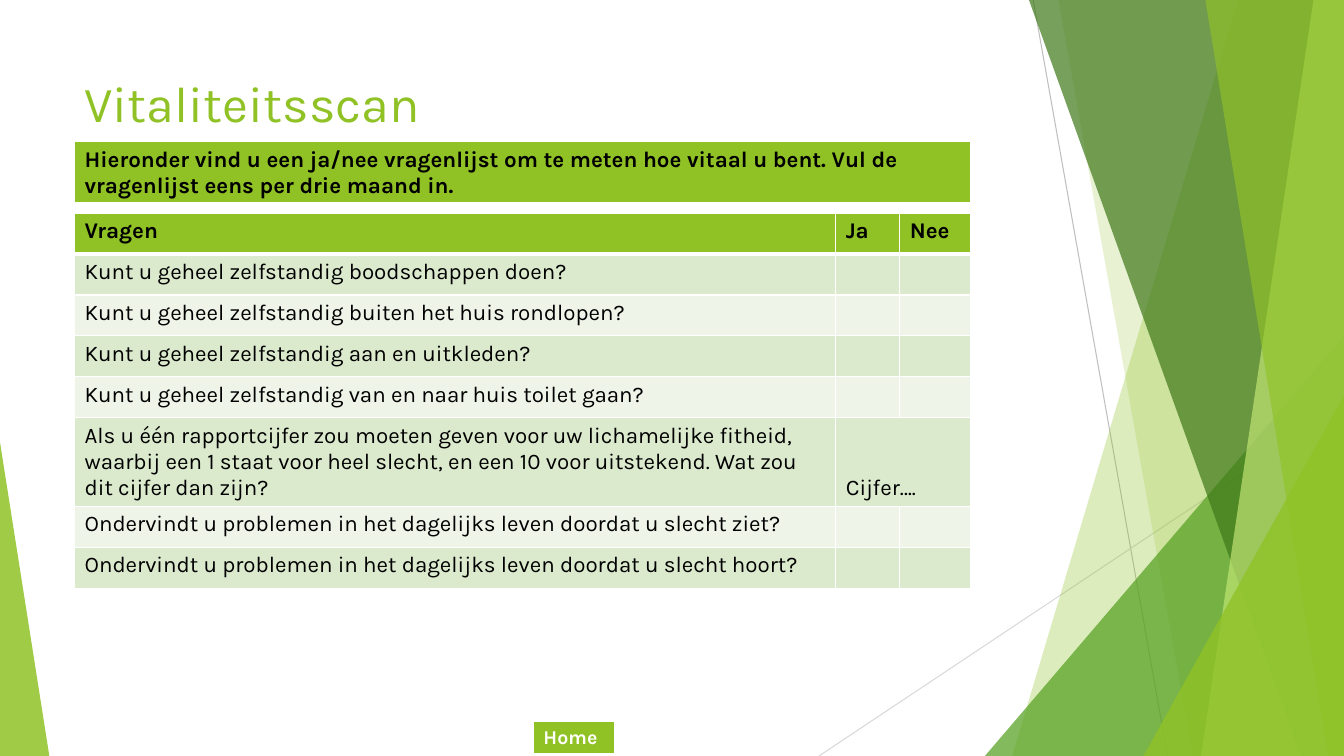
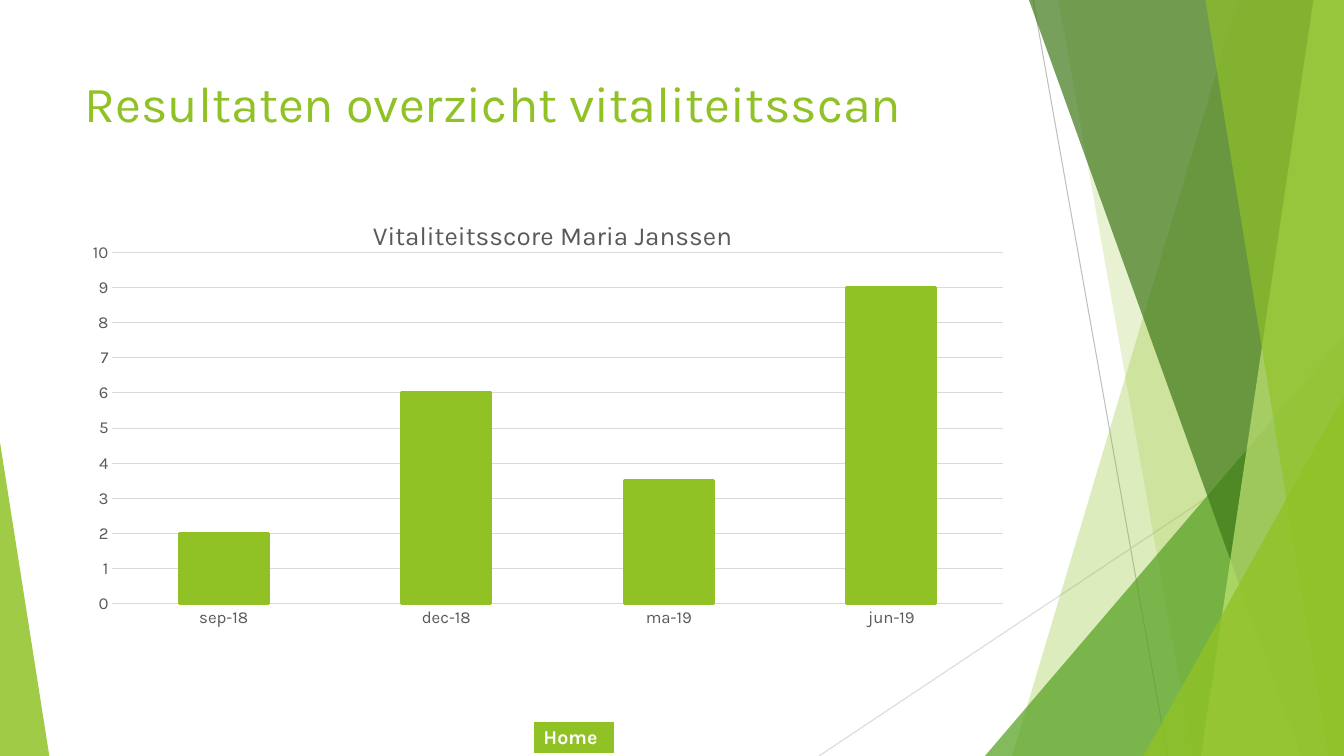
import pptx
import pptx.chart.data
import pptx.dml.color
import pptx.enum.chart
import pptx.enum.shapes
import pptx.enum.text
import pptx.oxml
import pptx.oxml.ns
import pptx.util
from lxml import etree

SCALE = 9525
WIDTH, HEIGHT = 1280, 720
FONT = "Karla"
GREEN, WHITE, BLACK = "90C226", "FFFFFF", "000000"
MID_GREEN, DARK_GREEN, LIME = "54A021", "3F7819", "C0E474"
GRAY, RULE, SILVER = "595959", "D9D9D9", "BFBFBF"
BANDS = ("DBE9CD", "EEF4E8")
LEFT, TABLE_WIDTH, CONTENT_WIDTH = 71, 853, 902

QUESTIONS = [
    "Kunt u geheel zelfstandig boodschappen doen?",
    "Kunt u geheel zelfstandig buiten het huis rondlopen?",
    "Kunt u geheel zelfstandig aan en uitkleden?",
    "Kunt u geheel zelfstandig van en naar huis toilet gaan?",
    "Als u één rapportcijfer zou moeten geven voor uw lichamelijke fitheid, "
    "waarbij een 1 staat voor heel slecht, en een 10 voor uitstekend. "
    "Wat zou dit cijfer dan zijn?",
    "Ondervindt u problemen in het dagelijks leven doordat u slecht ziet?",
    "Ondervindt u problemen in het dagelijks leven doordat u slecht hoort?",
]
GRADE_ROW = 5


def px(*lengths):
    return [pptx.util.Emu(length * SCALE) for length in lengths]


def rgb(color):
    return pptx.dml.color.RGBColor.from_string(color)


def child(parent, tag, **attributes):
    element = etree.SubElement(parent, pptx.oxml.ns.qn(tag))
    for name, value in attributes.items():
        element.set(name, str(value))
    return element


def format_font(font, size, color, bold=False):
    font.name = FONT
    font.size = pptx.util.Pt(size)
    font.bold = bold
    font.color.rgb = rgb(color)


def place_in_chart(parent, position, **fractions):
    for old in parent.findall(pptx.oxml.ns.qn("c:layout")):
        parent.remove(old)
    layout = etree.Element(pptx.oxml.ns.qn("c:layout"))
    parent.insert(position, layout)
    manual = child(layout, "c:manualLayout")
    if "w" in fractions:
        child(manual, "c:layoutTarget", val="inner")
    for name in ("x", "y"):
        child(manual, f"c:{name}Mode", val="edge")
    for name, value in fractions.items():
        child(manual, f"c:{name}", val=value)


class Deck:
    def __init__(self):
        self.presentation = pptx.Presentation()
        self.presentation.slide_width, self.presentation.slide_height = px(WIDTH, HEIGHT)
        self.layout = self.presentation.slide_layouts[5]
        self.slide = None

    def start_slide(self, text):
        self.slide = self.presentation.slides.add_slide(self.layout)
        title = self.slide.shapes.title
        title.left, title.top, title.width, title.height = px(LEFT, 64, CONTENT_WIDTH, 138)
        frame = title.text_frame
        frame.word_wrap = True
        frame.auto_size = pptx.enum.text.MSO_AUTO_SIZE.NONE
        frame.vertical_anchor = pptx.enum.text.MSO_ANCHOR.TOP
        self.add_text(frame, text, 36, GREEN)

    def add_text(self, frame, text, size, color, bold=False):
        paragraph = frame.paragraphs[0]
        paragraph.alignment = pptx.enum.text.PP_ALIGN.LEFT
        run = paragraph.add_run()
        run.text = text
        format_font(run.font, size, color, bold)

    def line(self, start, end, color):
        connector = self.slide.shapes.add_connector(
            pptx.enum.shapes.MSO_CONNECTOR.STRAIGHT, *px(*start, *end))
        connector.line.color.rgb = rgb(color)
        connector.line.width = pptx.util.Pt(0.75)
        child(connector._element.spPr, "a:effectLst")

    def tint(self, shape, color, opacity):
        shape.shadow.inherit = False
        shape.line.fill.background()
        shape.fill.solid()
        shape.fill.fore_color.rgb = rgb(color)
        color_element = shape._element.spPr.find(".//" + pptx.oxml.ns.qn("a:srgbClr"))
        child(color_element, "a:alpha", val=opacity * 1000)

    def blade(self, top_x, bottom_x, color, opacity):
        builder = self.slide.shapes.build_freeform(top_x, 0, scale=SCALE)
        builder.add_line_segments([(WIDTH, 0), (WIDTH, HEIGHT), (bottom_x, HEIGHT)])
        self.tint(builder.convert_to_shape(), color, opacity)

    def triangle(self, left, top, width, apex, color, opacity):
        shape = self.slide.shapes.add_shape(
            pptx.enum.shapes.MSO_SHAPE.ISOSCELES_TRIANGLE,
            *px(left, top, width, HEIGHT - top))
        shape.adjustments[0] = apex
        self.tint(shape, color, opacity)

    def move_to_layout(self):
        shapes = [shape for shape in self.slide.shapes if not shape.is_placeholder]
        for index, shape in enumerate(shapes):
            element = shape._element
            element.xpath(".//p:cNvPr")[0].set("id", str(100 + index))
            self.layout.shapes._spTree.insert(2 + index, element)

    def backdrop(self):
        self.line((984, 0), (1112, HEIGHT), SILVER)
        self.line((WIDTH, 387), (780, HEIGHT), RULE)
        self.blade(1179, 964, GREEN, 30)
        self.blade(1008, 1136, GREEN, 20)
        self.triangle(938, 320, 342, 1, MID_GREEN, 72)
        self.blade(980, 1239, DARK_GREEN, 70)
        self.blade(1251, 1144, LIME, 70)
        self.blade(1148, 1265, GREEN, 65)
        self.triangle(1089, 377, 191, 1, GREEN, 80)
        self.triangle(0, 421, 47, 0, GREEN, 85)
        self.move_to_layout()

    def table(self, left, top, columns, rows):
        frame = self.slide.shapes.add_table(
            len(rows), len(columns), *px(left, top, sum(columns), sum(rows)))
        for column, width in zip(frame.table.columns, px(*columns)):
            column.width = width
        for row, height in zip(frame.table.rows, px(*rows)):
            row.height = height
        return frame.table

    def cell(self, cell, text, fill, size=16, color=BLACK, header=False):
        properties = cell._tc.get_or_add_tcPr()
        for side in "LRTB":
            points = 3 if header and side == "B" else 1
            border = child(properties, f"a:ln{side}", w=pptx.util.Pt(points))
            child(child(border, "a:solidFill"), "a:srgbClr", val=WHITE)
        cell.fill.solid()
        cell.fill.fore_color.rgb = rgb(fill)
        if text:
            self.add_text(cell.text_frame, text, size, color, header)

    def banner(self, left, top, width, height, text, size=16, color=BLACK):
        table = self.table(left, top, [width], [height])
        self.cell(table.cell(0, 0), text, GREEN, size, color, header=True)

    def home_button(self):
        self.banner(508, 687, 77, 32, "Home", 14, WHITE)

    def questionnaire(self, top):
        heights = [39] * (len(QUESTIONS) + 1)
        heights[GRADE_ROW] = 84
        table = self.table(LEFT, top, [725, 61, 67], heights)
        grade = table.cell(GRADE_ROW, 1)
        grade.merge(table.cell(GRADE_ROW, 2))
        grade.vertical_anchor = pptx.enum.text.MSO_ANCHOR.BOTTOM
        rows = [("Vragen", "Ja", "Nee")] + [(question, "", "") for question in QUESTIONS]
        rows[GRADE_ROW] = (QUESTIONS[GRADE_ROW - 1], "Cijfer….", "")
        for row, texts in enumerate(rows):
            fill = BANDS[(row - 1) % 2] if row else GREEN
            for column, text in enumerate(texts):
                self.cell(table.cell(row, column), text, fill, header=row == 0)

    def column_chart(self, top, height, title, categories, values):
        data = pptx.chart.data.CategoryChartData()
        data.categories = categories
        data.add_series("Series 1", values)
        chart = self.slide.shapes.add_chart(
            pptx.enum.chart.XL_CHART_TYPE.COLUMN_CLUSTERED,
            *px(LEFT, top, CONTENT_WIDTH, height), data).chart
        format_font(chart.font, 10, BLACK)
        chart.has_legend = False
        chart.has_title = True
        self.add_text(chart.chart_title.text_frame, title, 18.6, GRAY)
        chart.chart_title.include_in_layout = False
        place_in_chart(chart.chart_title._element, 1, x=0.31, y=0.05)
        place_in_chart(chart._chartSpace.chart.plotArea, 0, x=0.04, y=0.13, w=0.94, h=0.72)
        for axis in (chart.category_axis, chart.value_axis):
            axis.major_tick_mark = pptx.enum.chart.XL_TICK_MARK.NONE
            axis.minor_tick_mark = pptx.enum.chart.XL_TICK_MARK.NONE
            format_font(axis.tick_labels.font, 12, GRAY)
        chart.value_axis.minimum_scale = 0
        chart.value_axis.maximum_scale = 10
        chart.value_axis.major_unit = 1
        chart.value_axis.has_major_gridlines = True
        chart.value_axis.format.line.fill.background()
        for rule in (chart.category_axis, chart.value_axis.major_gridlines):
            rule.format.line.color.rgb = rgb(RULE)
            rule.format.line.width = pptx.util.Pt(0.75)
        plot = chart.plots[0]
        plot.gap_width = 150
        plot.vary_by_categories = False
        bars = plot.series[0].format
        bars.fill.solid()
        bars.fill.fore_color.rgb = rgb(GREEN)
        bars.line.color.rgb = rgb(GREEN)
        bars.line.width = pptx.util.Pt(2.25)


def main():
    deck = Deck()
    deck.start_slide("Vitaliteitsscan")
    deck.backdrop()
    deck.questionnaire(203)
    deck.banner(LEFT, 135, TABLE_WIDTH, 57,
                "Hieronder vind u een ja/nee vragenlijst om te meten hoe vitaal u bent. "
                "Vul de vragenlijst eens per drie maand in.")
    deck.home_button()

    deck.start_slide("Resultaten overzicht vitaliteitsscan")
    deck.column_chart(180, 465, "Vitaliteitsscore Maria Janssen",
                      ["sep-18", "dec-18", "ma-19", "jun-19"], [2, 6, 3.5, 9])
    deck.home_button()
    deck.presentation.save("out.pptx")


if __name__ == "__main__":
    main()
